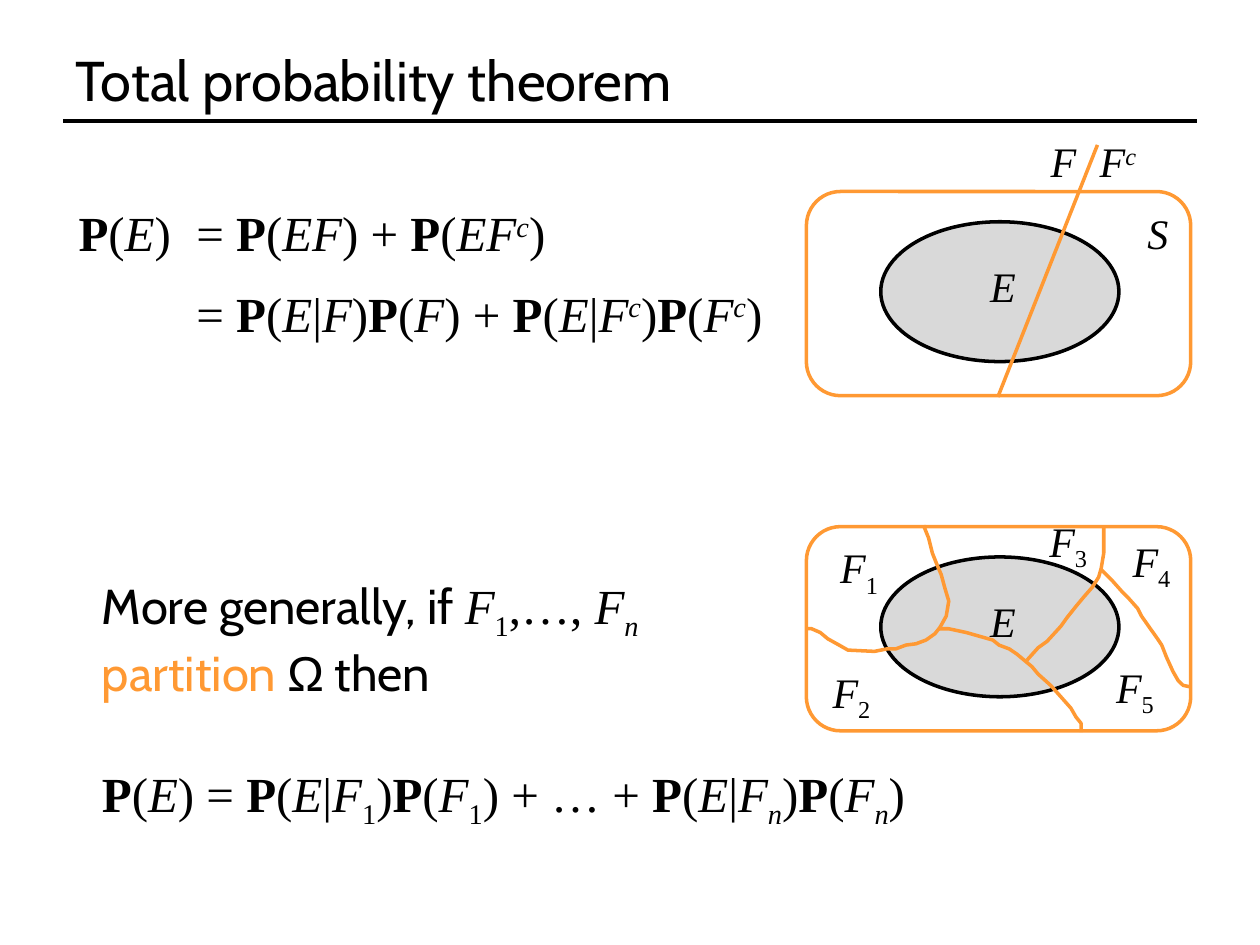
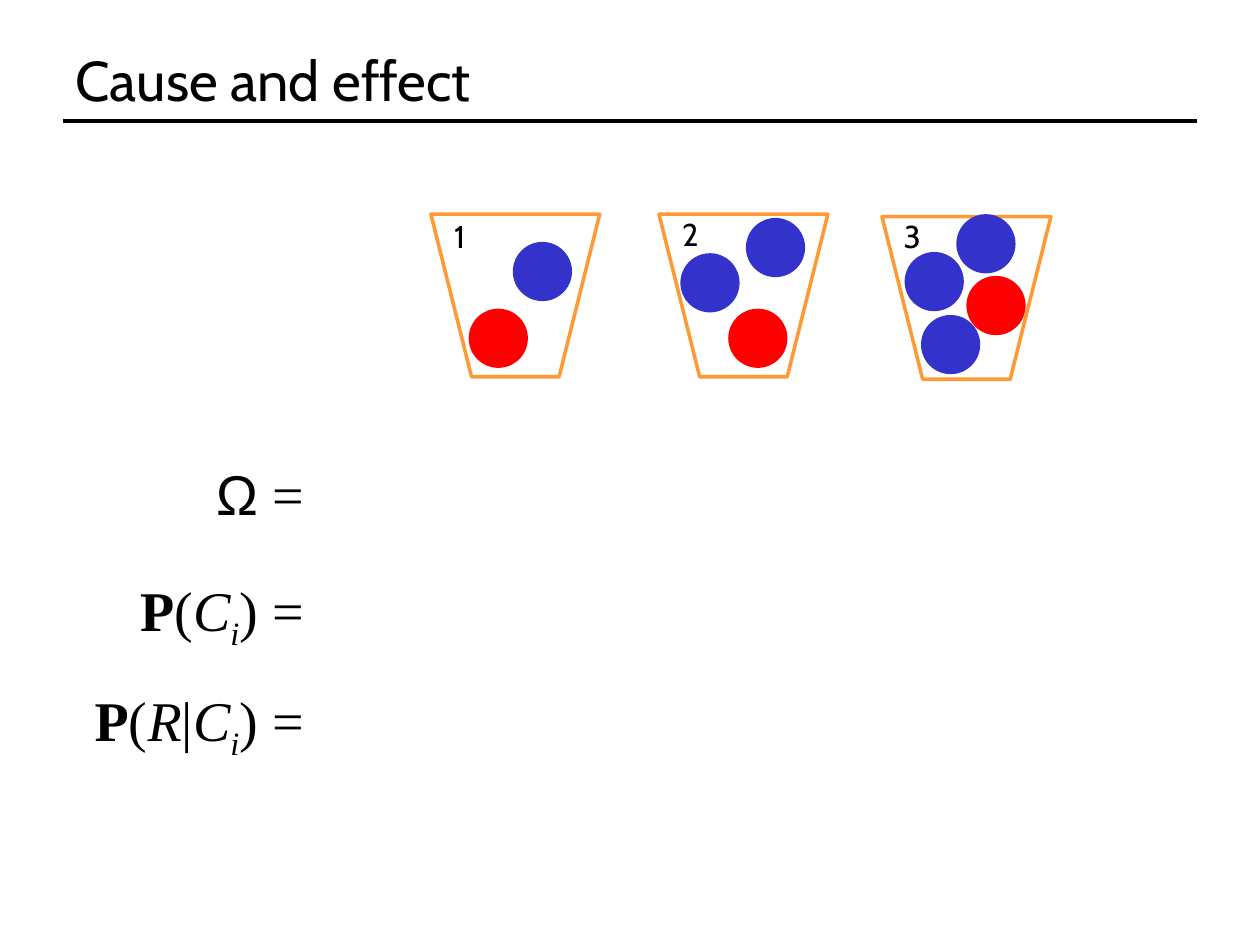
from dataclasses import dataclass
from itertools import groupby

from lxml import etree
from pptx import Presentation
from pptx.dml.color import RGBColor
from pptx.enum.shapes import MSO_CONNECTOR, MSO_SHAPE as Shape
from pptx.enum.text import MSO_ANCHOR as Anchor, PP_ALIGN as Align
from pptx.oxml.ns import qn
from pptx.util import Inches, Pt

BLACK = RGBColor(0x00, 0x00, 0x00)
GREY = RGBColor(0xD9, 0xD9, 0xD9)
ORANGE = RGBColor(0xFF, 0x99, 0x33)
RED = RGBColor(0xFF, 0x00, 0x00)
BLUE = RGBColor(0x33, 0x33, 0xCC)

SANS = "Cabin"
SERIF = "Times New Roman"
GREEK = "Arial"

BASELINES = {"^": 30000, "_": -25000}
BALL_SIZE = 0.47

PARTITION_CURVES = [
    [(7.33, 4.17), (7.37, 4.27), (7.4, 4.39), (7.44, 4.49), (7.47, 4.56),
     (7.5, 4.67), (7.53, 4.77), (7.51, 4.89), (7.46, 4.98), (7.42, 5.03),
     (7.35, 5.08), (7.27, 5.11), (7.19, 5.12), (7.11, 5.15), (7.04, 5.15),
     (6.94, 5.17), (6.73, 5.16), (6.66, 5.12), (6.57, 5.07), (6.51, 5.02),
     (6.44, 4.99), (6.39, 4.99)],
    [(7.45, 4.99), (7.53, 4.99), (7.67, 5.02), (7.88, 5.08), (7.93, 5.12),
     (8.01, 5.15), (8.07, 5.19), (8.19, 5.29), (8.24, 5.35), (8.34, 5.44),
     (8.42, 5.53), (8.5, 5.62), (8.54, 5.69), (8.58, 5.74), (8.58, 5.81)],
    [(8.15, 5.24), (8.24, 5.14), (8.31, 5.09), (8.42, 4.97), (8.47, 4.9),
     (8.55, 4.8), (8.6, 4.74), (8.67, 4.66), (8.72, 4.58), (8.74, 4.51),
     (8.76, 4.39), (8.76, 4.19)],
    [(8.74, 4.52), (8.82, 4.6), (8.9, 4.69), (8.95, 4.74), (9.03, 4.83),
     (9.06, 4.89), (9.13, 4.99), (9.18, 5.06), (9.22, 5.12), (9.26, 5.22),
     (9.31, 5.33), (9.35, 5.4), (9.39, 5.44), (9.44, 5.45)],
]

PARTITION_LABELS = [("F_1", 6.57, 4.25), ("F_2", 6.51, 5.24), ("F_3", 8.23, 4.04),
                    ("F_4", 8.89, 4.2), ("F_5", 8.76, 5.2)]

URNS = [
    (3.42, 1.7, (3.4, 1.62), [(RED, 3.72, 2.45), (BLUE, 4.07, 1.92)]),
    (5.23, 1.7, (5.23, 1.61), [(RED, 5.78, 2.45), (BLUE, 5.92, 1.73), (BLUE, 5.4, 2.01)]),
    (7, 1.72, (6.99, 1.62), [(RED, 7.67, 2.19), (BLUE, 7.59, 1.7), (BLUE, 7.18, 2),
                             (BLUE, 7.31, 2.5)]),
]


@dataclass
class Span:
    text: str
    font: str = SANS
    color: RGBColor = BLACK
    bold: bool = False
    italic: bool = False
    baseline: int = 0


def formula_spans(formula):
    """Set letters italic and P bold; ^ raises and _ lowers the next character."""
    letters, baseline = [], 0
    for letter in formula:
        if letter in BASELINES:
            baseline = BASELINES[letter]
        else:
            bold = letter == "P"
            letters.append((letter, (bold, letter.isalpha() and not bold, baseline)))
            baseline = 0
    return [Span("".join(letter for letter, _ in group), SERIF, BLACK, *style)
            for style, group in groupby(letters, key=lambda pair: pair[1])]


class Page:
    def __init__(self, deck, title):
        self.slide = deck.slides.add_slide(deck.slide_layouts[6])
        self.shapes = self.slide.shapes
        self.line((0.5, 0.96), (9.5, 0.96), BLACK)
        box = self.text((0.5, 0.3, 9, 0.66), [[Span(title)]], 32)
        box.text_frame.word_wrap = True
        box.text_frame.vertical_anchor = Anchor.MIDDLE

    def fill_text(self, frame, paragraphs, size, align):
        for index, spans in enumerate(paragraphs):
            para = frame.add_paragraph() if index else frame.paragraphs[0]
            para.alignment = align
            para.font.size = Pt(size)
            para.font.name = spans[0].font
            para.font.color.rgb = BLACK
            for span in spans:
                run = para.add_run()
                run.text = span.text
                if span.font != spans[0].font:
                    run.font.name = span.font
                if span.color != BLACK:
                    run.font.color.rgb = span.color
                if span.bold:
                    run.font.bold = True
                if span.italic:
                    run.font.italic = True
                if span.baseline:
                    run.font._element.set("baseline", str(span.baseline))

    def text(self, place, paragraphs, size=28, align=Align.LEFT):
        box = self.shapes.add_textbox(*map(Inches, place))
        box.text_frame.word_wrap = False
        self.fill_text(box.text_frame, paragraphs, size, align)
        return box

    def style(self, shape, fill=None, line=None):
        shape.shadow.inherit = False
        if fill is None:
            shape.fill.background()
        else:
            shape.fill.solid()
            shape.fill.fore_color.rgb = fill
        if line is None:
            shape.line.fill.background()
        else:
            shape.line.color.rgb = line
            shape.line.width = Pt(2)

    def shape(self, kind, place, fill=None, line=None):
        shape = self.shapes.add_shape(kind, *map(Inches, place))
        self.style(shape, fill, line)
        return shape

    def line(self, start, end, color):
        connector = self.shapes.add_connector(
            MSO_CONNECTOR.STRAIGHT, *map(Inches, start + end))
        connector.line.color.rgb = color
        connector.line.width = Pt(2)
        etree.SubElement(connector._element.spPr, qn("a:effectLst"))

    def curve(self, points, color):
        start, *rest = [(Inches(x), Inches(y)) for x, y in points]
        builder = self.shapes.build_freeform(*start)
        builder.add_line_segments(rest, close=False)
        self.style(builder.convert_to_shape(), line=color)

    def sample_space(self, top):
        space = self.shape(Shape.ROUNDED_RECTANGLE, (6.4, top, 3.05, 1.62), line=ORANGE)
        self.shape(Shape.OVAL, (6.99, top + 0.24, 1.89, 1.11), GREY, BLACK)
        self.text((7.76, top + 0.5, 0.44, 0.5), [formula_spans("E")], 24)
        return space

    def urn(self, number, left, top, label, balls):
        bucket = self.shape(Shape.TRAPEZOID, (left, top, 1.34, 1.29), line=ORANGE)
        bucket.rotation = 180
        for color, x, y in balls:
            self.shape(Shape.OVAL, (x, y, BALL_SIZE, BALL_SIZE), color)
        tag = self.shape(Shape.OVAL, (*label, 0.5, 0.5))
        tag.text_frame.vertical_anchor = Anchor.MIDDLE
        self.fill_text(tag.text_frame, [[Span(str(number))]], 18, Align.CENTER)


def total_probability(deck):
    page = Page(deck, "Total probability theorem")
    page.text((0.52, 1.56, 0.94, 0.57), [formula_spans("P(E)")], align=Align.CENTER)
    page.text((1.46, 1.56, 3, 0.57), [formula_spans("= P(EF) + P(EF^c)")])
    page.text((1.46, 2.2, 4.85, 0.57), [formula_spans("= P(E|F)P(F) + P(E|F^c)P(F^c)")])

    space = page.sample_space(1.52)
    space.text_frame.vertical_anchor = Anchor.TOP
    page.fill_text(space.text_frame, [formula_spans("S")], 24, Align.RIGHT)
    page.line((8.71, 1.15), (7.92, 3.15), ORANGE)
    page.text((8.24, 1.03, 0.38, 0.41), [formula_spans("F")], 24)
    page.text((8.63, 1.03, 0.5, 0.5), [formula_spans("F^c")], 24)

    page.sample_space(4.18)
    for points in PARTITION_CURVES:
        page.curve(points, ORANGE)
    for label, left, top in PARTITION_LABELS:
        page.text((left, top, 0.53, 0.5), [formula_spans(label)], 24)

    page.text((0.71, 6.01, 6.89, 0.57),
              [formula_spans("P(E) = P(E|F_1)P(F_1) + … + P(E|F_n)P(F_n)")])
    page.text((0.71, 4.52, 4.65, 1.04), [
        [Span("More generally, if "), *formula_spans("F_1,…, F_n")],
        [Span("partition ", color=ORANGE), Span("Ω", GREEK), Span(" then")],
    ])


def cause_and_effect(deck):
    page = Page(deck, "Cause and effect")
    for number, urn in enumerate(URNS, 1):
        page.urn(number, *urn)
    equations = [
        (1.55, 3.6, [Span("Ω", GREEK), Span(" = ", SERIF)]),
        (1, 4.52, formula_spans("P(C_i) = ")),
        (0.5, 5.39, formula_spans("P(R|C_i) = ")),
    ]
    for left, top, spans in equations:
        page.text((left, top, 2.62 - left, 0.64), [spans], 32, Align.RIGHT)


def main():
    deck = Presentation()
    deck.slide_width, deck.slide_height = Inches(10), Inches(7.5)
    total_probability(deck)
    cause_and_effect(deck)
    deck.save("out.pptx")


if __name__ == "__main__":
    main()
